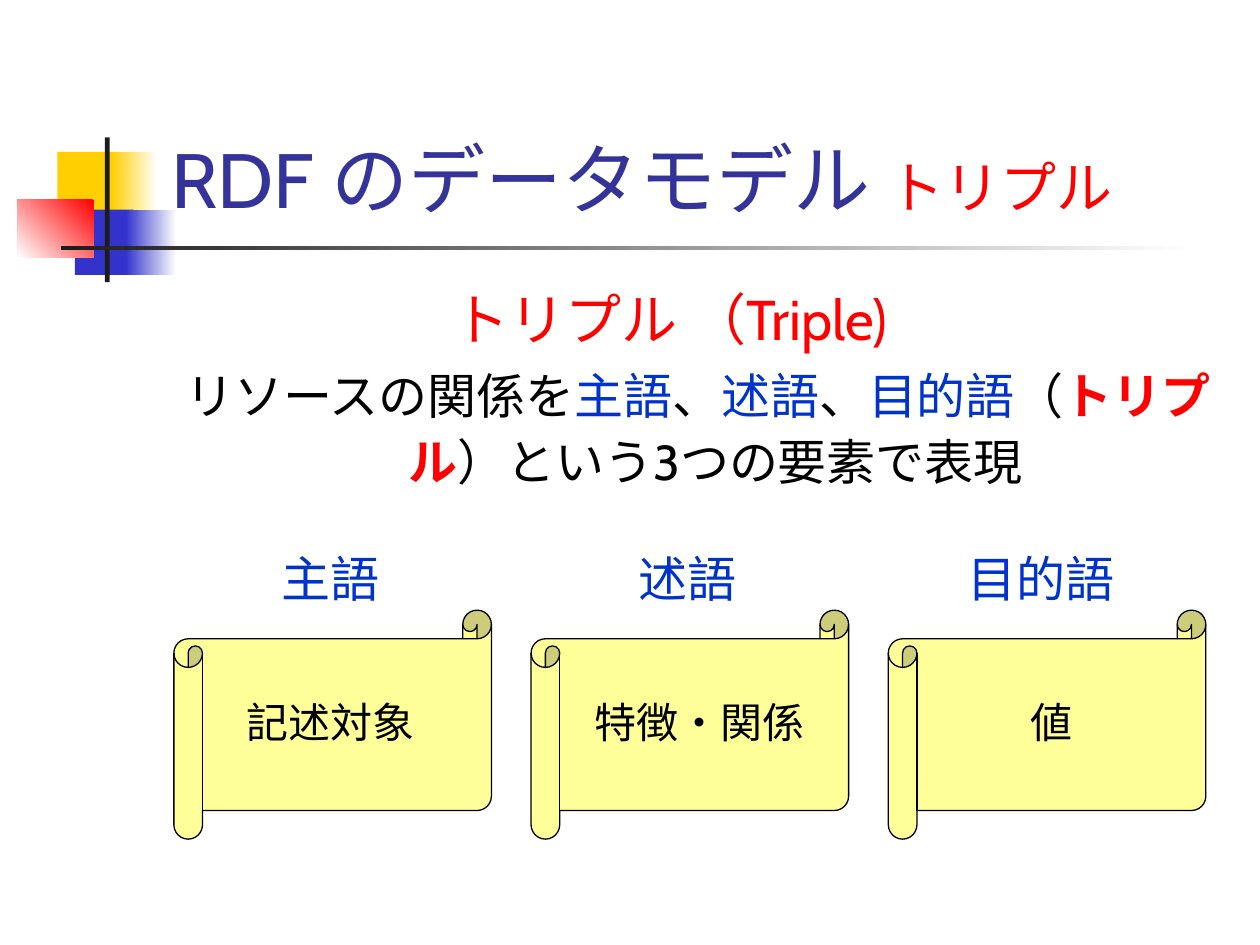
import pptx
import pptx.util
import pptx.dml.color
import pptx.enum.shapes
import pptx.enum.text
import lxml.etree

Inch, Pt = pptx.util.Inches, pptx.util.Pt
SHAPE = pptx.enum.shapes.MSO_SHAPE
ANCHOR = pptx.enum.text.MSO_ANCHOR
ALIGN = pptx.enum.text.PP_ALIGN
FIT = pptx.enum.text.MSO_AUTO_SIZE
RED, BLUE, BLACK, WHITE, INK = "FF0000", "0033CC", "000000", "FFFFFF", "1C1C1C"
WIDE, HIGH = 10, 7.5


def color(code):
    return pptx.dml.color.RGBColor.from_string(code)


def part(box, x, y, w, h):
    """Turn shares of a box into a box in inches."""
    left, top, wide, high = box
    return left + x * wide, top + y * high, w * wide, h * high


def shape(slide, kind, box, fill, fade=None):
    """Add a shape; fade is the angle along which its fill turns white."""
    item = slide.shapes.add_shape(kind, *map(Inch, box))
    item.shadow.inherit = False
    item.line.fill.background()
    if fade is None:
        item.fill.solid()
        item.fill.fore_color.rgb = color(fill)
    else:
        item.fill.gradient()
        item.fill.gradient_angle = fade
        for stop, code in zip(item.fill.gradient_stops, (fill, WHITE)):
            stop.color.rgb = color(code)
    return item


def text(slide, box, lines, size, font, anchor=ANCHOR.TOP, wrap=True):
    """Add text; each line is a list of (words, color, size, bold) runs."""
    frame = slide.shapes.add_textbox(*map(Inch, box)).text_frame
    frame.word_wrap = wrap
    frame.auto_size = FIT.NONE if wrap else FIT.SHAPE_TO_FIT_TEXT
    frame.vertical_anchor = anchor
    for i, runs in enumerate(lines):
        para = frame.add_paragraph() if i else frame.paragraphs[0]
        para.font.name, para.font.size = font, Pt(size)
        for words, code, *more in runs:
            run = para.add_run()
            run.text = words
            run.font.color.rgb = color(code)
            if more:
                run.font.size = Pt(more[0])
                run.font.bold = len(more) > 1
    return frame


def hang(para):
    """Centre a paragraph with a hanging indent and one tab stop."""
    para.alignment, para.space_before = ALIGN.CENTER, Pt(8)
    props = para._p.get_or_add_pPr()
    props.set("marL", str(Inch(0.38)))
    props.set("indent", str(-Inch(0.38)))
    tabs = lxml.etree.Element(pptx.oxml.ns.qn("a:tabLst"))
    lxml.etree.SubElement(tabs, pptx.oxml.ns.qn("a:tab"), pos=str(Inch(4.5)), algn="l")
    props.find(pptx.oxml.ns.qn("a:defRPr")).addprevious(tabs)


def badge(slide, box):
    """Overlapping squares with a crossing bar and rule."""
    for x, y, w, h, fill, fade in (
        (0.25, 0.1, 0.38, 0.45, "FFCF01", None),
        (0.59, 0.1, 0.29, 0.45, "FFCF01", 0),
        (0.36, 0.5, 0.37, 0.45, "3333CC", None),
        (0.68, 0.5, 0.32, 0.45, "3333CC", 0),
        (0, 0.43, 0.48, 0.4, RED, 225),
        (0.55, 0, 0.03, 1, INK, None),
        (0.27, 0.75, 7.14, 0.03, INK, 0),
    ):
        shape(slide, SHAPE.RECTANGLE, part(box, x, y, w, h), fill, fade)


def title(slide, box):
    text(slide, box, [[("RDF のデータモデル ", "333399"), ("トリプル", RED, 32)]],
         44, "Cabin", ANCHOR.BOTTOM)


def body(slide, box):
    frame = text(slide, box, [
        [("トリプル （Triple)\t", RED, 32)],
        [("リソースの関係を", BLACK), ("主語", BLUE), ("、", BLACK), ("述語", BLUE),
         ("、", BLACK), ("目的語", BLUE), ("（", BLACK), ("トリプル", RED, 28, True),
         ("）という3つの要素で表現", BLACK), (" ", BLACK, 32)],
    ], 28, "Cabin")
    for para in frame.paragraphs:
        hang(para)


def card(slide, box, head, note):
    """A scroll holding a note, with a heading above; each is (words, x, w)."""
    scroll = shape(slide, SHAPE.HORIZONTAL_SCROLL, part(box, 0, 0.23, 1, 0.77), "FFFF99")
    scroll.adjustments[0] = 0.125
    scroll.line.color.rgb = color(BLACK)
    scroll.line.width = Pt(0.75)
    for (words, x, w), y, h, size, code, anchor in (
        (head, 0, 0.24, 28, BLUE, ANCHOR.TOP),
        (note, 0.5, 0.21, 24, BLACK, ANCHOR.MIDDLE),
    ):
        text(slide, part(box, x, y, w, h), [[(words, code)]], size, "Arial", anchor, False)


def main():
    deck = pptx.Presentation()
    deck.slide_width, deck.slide_height = Inch(WIDE), Inch(HIGH)
    slide = deck.slides.add_slide(deck.slide_layouts[6])
    badge(slide, (0.14, 1.09, 1.26, 1.15))
    title(slide, (1.26, 0.23, 8.52, 1.6))
    body(slide, (1.29, 2.21, 8.5, 1.9))
    # Three equal columns
    cards = (
        (("主語", 0.3, 0.39), ("記述対象", 0.19, 0.61)),
        (("述語", 0.3, 0.39), ("特徴・関係", 0.16, 0.77)),
        (("目的語", 0.21, 0.55), ("値", 0.41, 0.22)),
    )
    for i, (head, note) in enumerate(cards):
        card(slide, (1.38 + i * 2.835, 4.3, 2.52, 2.36), head, note)
    deck.save("out.pptx")


if __name__ == "__main__":
    main()
